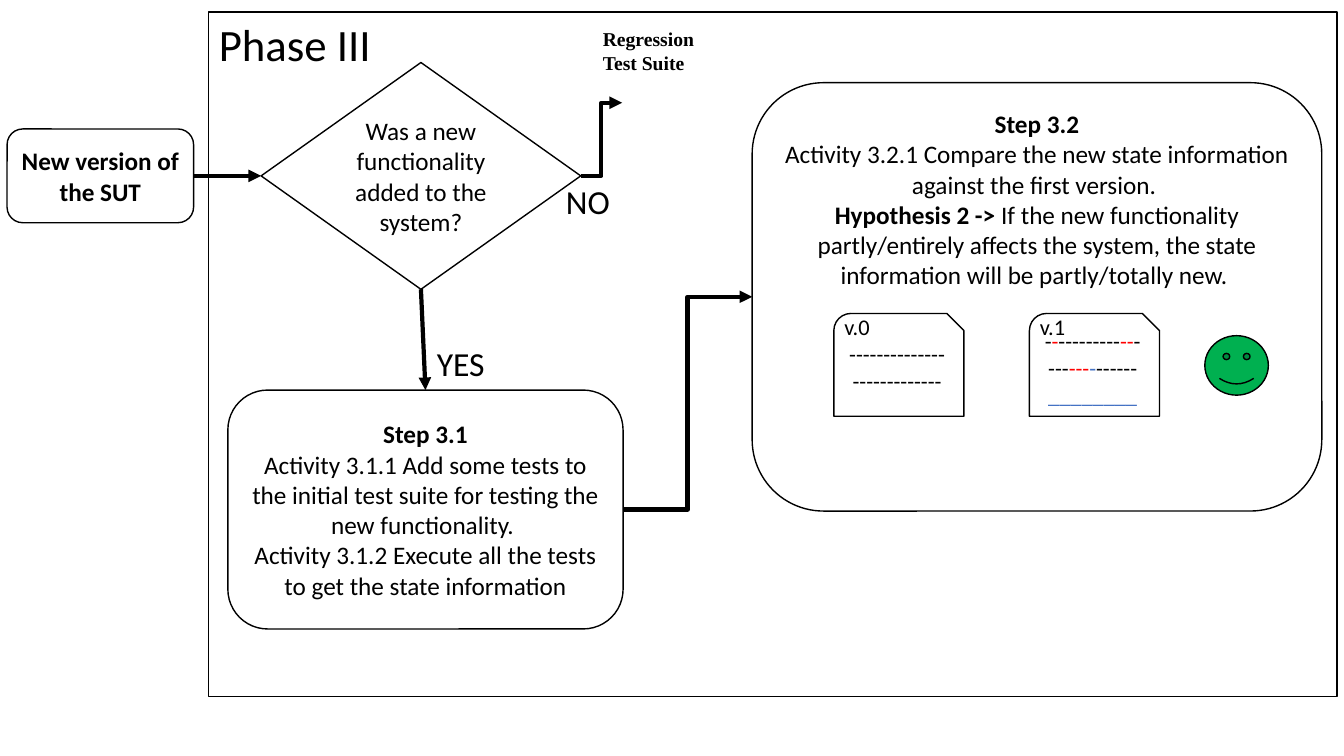
from pptx import Presentation
from pptx.dml.color import RGBColor
from pptx.enum.shapes import MSO_CONNECTOR, MSO_SHAPE
from pptx.enum.text import MSO_ANCHOR, MSO_AUTO_SIZE, PP_ALIGN
from pptx.oxml.ns import qn
from pptx.util import Inches, Pt
from lxml.etree import SubElement

HUES = {"ink": "000000", "paper": "FFFFFF", "red": "FF0000",
        "blue": "4472C4", "green": "00B050"}
SERIF = "Times New Roman"
TOP, MID = MSO_ANCHOR.TOP, MSO_ANCHOR.MIDDLE
LEFT, MIDST = PP_ALIGN.LEFT, PP_ALIGN.CENTER

# A paragraph is a list of runs; a run is (text, bold, hue).
FRAME = (2.07, 0.12, 11.19, 6.79)
HEAD = [[("Phase III", False, "ink")]]

# name: (preset, place, anchor, paragraphs)
BOXES = {
    "start": (MSO_SHAPE.ROUNDED_RECTANGLE, (0.07, 1.28, 1.85, 0.93), MID,
              [[("New version of the SUT", True, "ink")]]),
    "choice": (MSO_SHAPE.DIAMOND, (2.59, 0.62, 3.17, 2.25), MID,
               [[("Was a new functionality added to the system?",
                  False, "ink")]]),
    "step 1": (MSO_SHAPE.ROUNDED_RECTANGLE, (2.26, 3.87, 3.92, 2.37), MID,
               [[("Step 3.1", True, "ink")],
                [("Activity 3.1.1 Add some tests to the initial test suite "
                  "for testing the new functionality. ", False, "ink")],
                [("Activity 3.1.2 Execute all the tests to get the state "
                  "information", False, "ink")]]),
    "step 2": (MSO_SHAPE.ROUNDED_RECTANGLE, (7.46, 0.82, 5.65, 4.25), TOP,
               [[("Step 3.2", True, "ink")],
                [("Activity 3.2.1 Compare the new state information against "
                  "the first version. ", False, "ink")],
                [("Hypothesis 2 -> ", True, "ink"),
                 ("If the new functionality partly/entirely affects the "
                  "system, the state information will be partly/totally "
                  "new. ", False, "ink")]]),
}

# (text, place, size, font, bold, align)
LABELS = [
    ("Regression Test Suite", (5.88, 0.22, 1.35, 0.5), 14, SERIF, True, LEFT),
    ("NO", (5.48, 1.75, 0.7, 0.5), 24, "Calibri", False, MIDST),
    ("YES", (4.22, 3.35, 0.7, 0.5), 24, "Calibri", False, MIDST),
]

# (kind, source box, its site, target box, its site)
SITE = {"top": 0, "left": 1, "bottom": 2, "right": 3}
LINKS = [
    (MSO_CONNECTOR.STRAIGHT, "start", "right", "choice", "left"),
    (MSO_CONNECTOR.STRAIGHT, "choice", "bottom", "step 1", "top"),
    (MSO_CONNECTOR.ELBOW, "step 1", "right", "step 2", "left"),
    (MSO_CONNECTOR.ELBOW, "choice", "right", None, None),
]
SUITE = (6.17, 1.02)

# (version, left, pieces of state text)
FILES = [
    ("v.0", 8.27, [("-" * 27, "ink")]),
    ("v.1", 10.21, [("-", "ink"), ("-", "red"), ("-" * 9, "ink"),
                    ("--", "red"), ("----", "ink"), ("---", "red"),
                    ("-", "blue"), ("------", "ink"), ("_" * 8, "blue")]),
]
FACE = (11.95, 3.33, 0.63, 0.59)


def dye(hue):
    """Return the colour for a hue name."""
    return RGBColor.from_string(HUES[hue])


def put(item, vals):
    """Set each attribute named in a dict."""
    for key, val in vals.items():
        setattr(item, key, val)


def span(place):
    """Turn a place in inches into lengths."""
    return [Inches(num) for num in place]


def write(shape, paras, size=18, font="Calibri", align=MIDST, **frame):
    """Fill a shape with paragraphs of formatted runs."""
    body = shape.text_frame
    put(body, {"word_wrap": True, "vertical_anchor": TOP,
               "auto_size": MSO_AUTO_SIZE.NONE, **frame})
    for num, runs in enumerate(paras):
        para = body.add_paragraph() if num else body.paragraphs[0]
        para.alignment = align
        for text, bold, hue in runs:
            run = para.add_run()
            run.text = text
            put(run.font, {"size": Pt(size), "name": font, "bold": bold})
            run.font.color.rgb = dye(hue)


def edge(shape, width=1):
    """Give a shape or link a black line."""
    shape.line.color.rgb = dye("ink")
    shape.line.width = Pt(width)


def block(shapes, kind, place, hue="paper"):
    """Add a filled and outlined preset shape."""
    shape = shapes.add_shape(kind, *span(place))
    shape.shadow.inherit = False
    shape.fill.solid()
    shape.fill.fore_color.rgb = dye(hue)
    edge(shape)
    return shape


def link(shapes, kind, src, out, dest, into):
    """Add an arrow from one box to another, or to the test suite."""
    line = shapes.add_connector(kind, 0, 0, *span(SUITE))
    line.begin_connect(src, SITE[out])
    if dest is not None:
        line.end_connect(dest, SITE[into])
    edge(line, 3)
    SubElement(line.line._get_or_add_ln(), qn("a:tailEnd"), type="triangle")
    SubElement(line._element.spPr, qn("a:effectLst"))


def sheet(shapes, name, left, parts):
    """Add a grouped state file with its version label."""
    group = shapes.add_group_shape().shapes
    page = block(group, MSO_SHAPE.SNIP_ROUND_RECTANGLE,
                 (left, 3.11, 1.29, 1.02))
    write(page, [[(text, False, hue) for text, hue in parts]], 16,
          vertical_anchor=MID)
    tag = group.add_textbox(*span((left, 3.06, 0.46, 0.37)))
    write(tag, [[(name, False, "ink")]], 16, word_wrap=False)


def main():
    """Build and save the slide."""
    deck = Presentation()
    put(deck, {"slide_width": Inches(13.33), "slide_height": Inches(7.5)})
    slide = deck.slides.add_slide(deck.slide_layouts[5])
    shapes = slide.shapes
    title = shapes.title
    put(title, dict(zip(("left", "top", "width", "height"), span(FRAME))))
    edge(title)
    write(title, HEAD, 32, align=LEFT)

    boxes = {None: None}
    for name, (kind, place, anchor, paras) in BOXES.items():
        boxes[name] = block(shapes, kind, place)
        write(boxes[name], paras, vertical_anchor=anchor)
    for text, place, size, font, bold, align in LABELS:
        label = shapes.add_textbox(*span(place))
        write(label, [[(text, bold, "ink")]], size, font, align)
    for kind, src, out, dest, into in LINKS:
        link(shapes, kind, boxes[src], out, boxes[dest], into)
    block(shapes, MSO_SHAPE.SMILEY_FACE, FACE, "green")
    for name, left, parts in FILES:
        sheet(shapes, name, left, parts)
    deck.save("out.pptx")


main()
